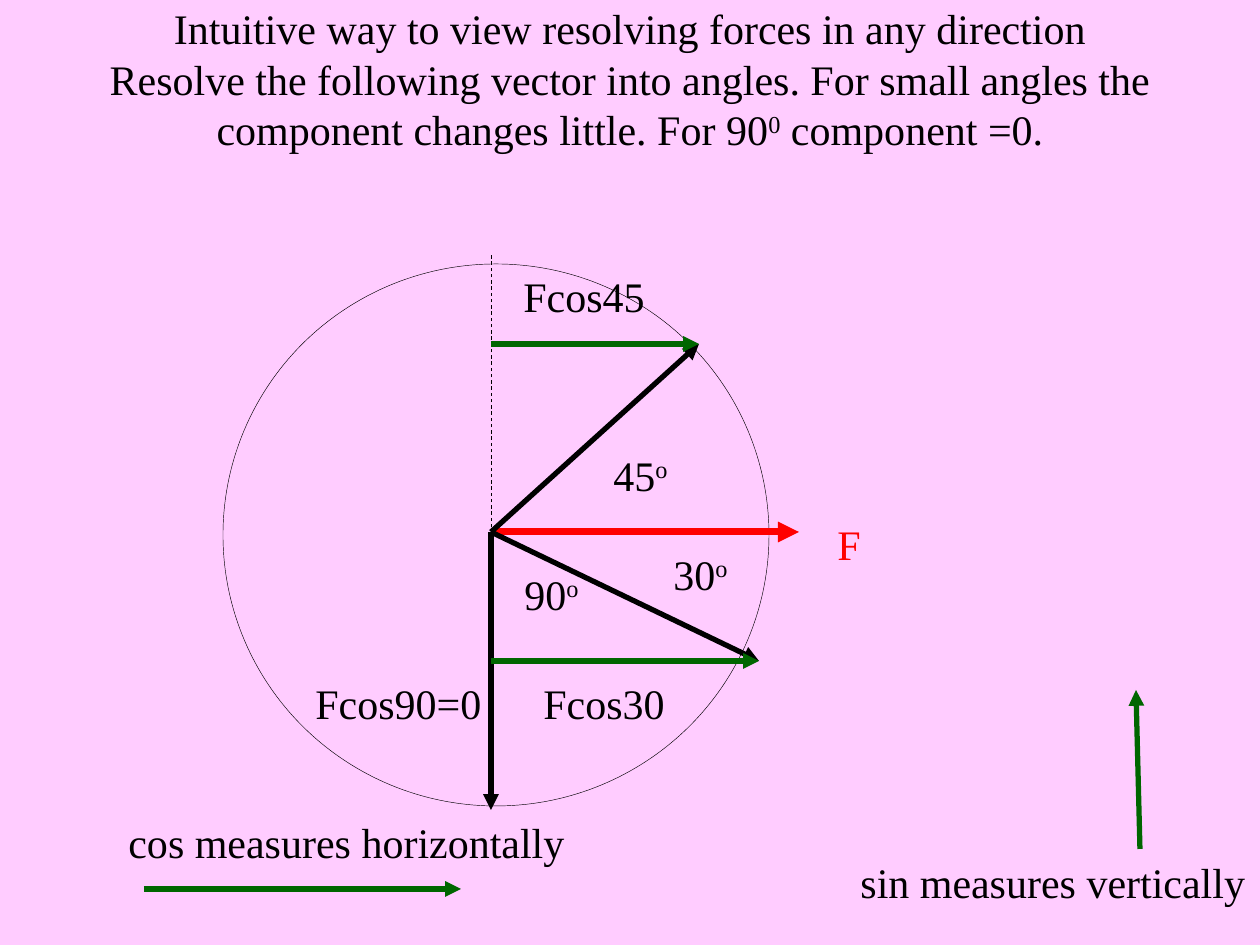
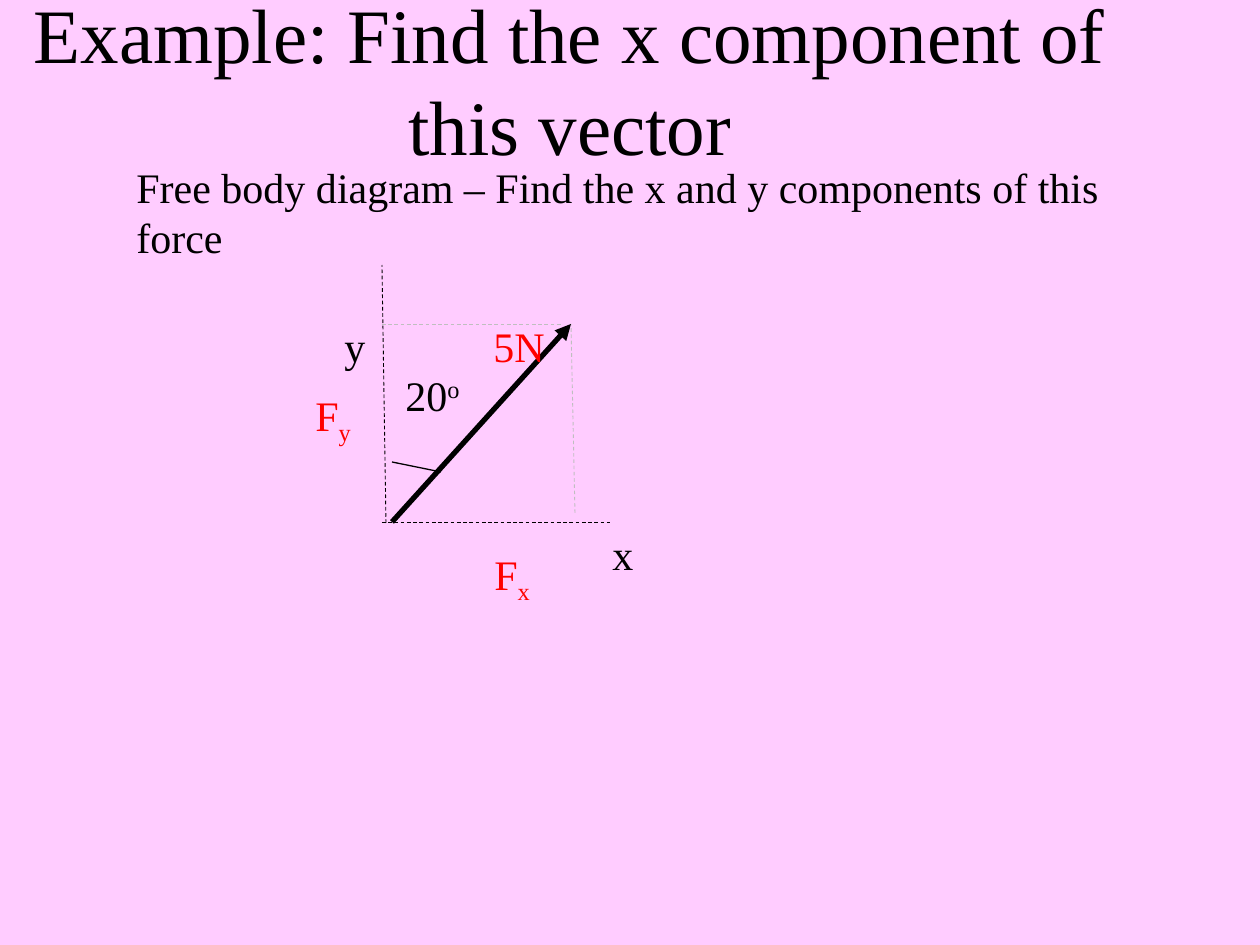
from dataclasses import dataclass

from lxml.etree import SubElement
from pptx import Presentation
from pptx.dml.color import RGBColor
from pptx.enum.dml import MSO_LINE
from pptx.enum.shapes import MSO_CONNECTOR, MSO_SHAPE
from pptx.enum.text import MSO_ANCHOR, MSO_AUTO_SIZE, PP_ALIGN
from pptx.oxml.ns import qn
from pptx.util import Emu, Pt


@dataclass(frozen=True)
class Theme:
    background: RGBColor = RGBColor(0xFF, 0xCC, 0xFF)
    ink: RGBColor = RGBColor(0, 0, 0)
    force: RGBColor = RGBColor(0xFF, 0, 0)
    component: RGBColor = RGBColor(0, 0x66, 0)
    guide: RGBColor = RGBColor(0xBF, 0xBF, 0xBF)
    font: str = "Times New Roman"
    body: int = 24
    headline: int = 44
    superscript: int = 30000
    subscript: int = -25000


theme = Theme()
PX = 914400 / 126
LABEL_HEIGHT = 63
TITLE_HEIGHT = 157


def add_text(slide, box, parts, color=theme.ink, size=theme.body, wrap=False, title=False):
    left, top, width, height = (Emu(round(v * PX)) for v in box)
    frame = slide.shapes.add_textbox(left, top, width, height).text_frame
    frame.word_wrap = wrap
    paragraph = frame.paragraphs[0]
    paragraph.text = parts[0]
    if title:
        frame.vertical_anchor = MSO_ANCHOR.MIDDLE
        paragraph.alignment = PP_ALIGN.CENTER
    else:
        frame.auto_size = MSO_AUTO_SIZE.SHAPE_TO_FIT_TEXT
    for part, baseline in parts[1:]:
        run = paragraph.add_run()
        run.text = part
        run._r.get_or_add_rPr().set("baseline", str(baseline))
    for run in paragraph.runs:
        run.font.name = theme.font
        run.font.size = Pt(size)
        run.font.color.rgb = color


def add_line(slide, start, end, color, weight, arrow=False, dashed=False):
    ends = (Emu(round(v * PX)) for v in (*start, *end))
    connector = slide.shapes.add_connector(MSO_CONNECTOR.STRAIGHT, *ends)
    connector.line.color.rgb = color
    connector.line.width = Pt(weight)
    if dashed:
        connector.line.dash_style = MSO_LINE.DASH
    if arrow:
        SubElement(connector.line._get_or_add_ln(), qn("a:tailEnd"), type="triangle")
    SubElement(connector._element.spPr, qn("a:effectLst"))


prs = Presentation()
prs.slide_width = Emu(round(1260 * PX))
prs.slide_height = Emu(round(945 * PX))
prs.slide_master.background.fill.solid()
prs.slide_master.background.fill.fore_color.rgb = theme.background
blank = prs.slide_layouts[6]
degree = ("o", theme.superscript)

resolving = prs.slides.add_slide(blank)
add_text(
    resolving,
    (0, 0, 1260, TITLE_HEIGHT),
    [
        "Intuitive way to view resolving forces in any direction\v"
        "Resolve the following vector into angles. For small angles the "
        "component changes little. For 90",
        ("0", theme.superscript),
        (" component =0.", 0),
    ],
    wrap=True,
    title=True,
)

circle = resolving.shapes.add_shape(
    MSO_SHAPE.OVAL, *(Emu(round(v * PX)) for v in (223, 264, 546, 542))
)
circle.shadow.inherit = False
circle.fill.background()
circle.line.color.rgb = theme.ink
circle.line.width = Pt(0.25)

center = (491, 532)
tip_45, tip_30, tip_90 = (699, 344), (759, 661), (491, 810)
add_line(resolving, (491, 790), (491, 255), theme.ink, 0.5, dashed=True)
add_line(resolving, center, (799, 532), theme.force, 4, arrow=True)
for tip in (tip_45, tip_30, tip_90):
    add_line(resolving, center, tip, theme.ink, 3, arrow=True)

component_arrows = [
    ((center[0], tip_45[1]), tip_45),
    ((center[0], tip_30[1]), tip_30),
    ((144, 889), (461, 889)),
    ((1140, 849), (1136, 690)),
]
for start, end in component_arrows:
    add_line(resolving, start, end, theme.component, 3, arrow=True)

add_text(resolving, (825, 512, 50, LABEL_HEIGHT), ["F"], theme.force)
resolving_labels = [
    (511, 264, 150, ["Fcos45"]),
    (531, 671, 150, ["Fcos30"]),
    (303, 671, 195, ["Fcos90=0"]),
    (601, 443, 82, ["45", degree]),
    (661, 542, 82, ["30", degree]),
    (512, 562, 82, ["90", degree]),
    (116, 810, 463, ["cos measures horizontally"]),
    (848, 850, 412, ["sin measures vertically"]),
]
for left, top, width, parts in resolving_labels:
    add_text(resolving, (left, top, width, LABEL_HEIGHT), parts)

example = prs.slides.add_slide(blank)
add_text(
    example,
    (0, 0, 1140, TITLE_HEIGHT),
    ["Example: Find the x component of this vector"],
    size=theme.headline,
    wrap=True,
    title=True,
)
add_text(
    example,
    (124, 155, 1012, 113),
    ["Free body diagram – Find the x and y components of this force"],
    wrap=True,
)

dashed_lines = [
    ((386, 523), (382, 265), theme.ink),
    ((382, 522), (610, 522), theme.ink),
    ((575, 513), (571, 324), theme.guide),
    ((382, 324), (561, 324), theme.guide),
]
for start, end, color in dashed_lines:
    add_line(example, start, end, color, 0.5, dashed=True)
add_line(example, (392, 522), (571, 324), theme.ink, 3, arrow=True)
add_line(example, (392, 462), (441, 472), theme.ink, 0.75)

example_labels = [
    (481, 314, 80, 63, ["5N"], theme.force),
    (600, 522, 48, 63, ["x"], theme.ink),
    (332, 314, 48, 63, ["y"], theme.ink),
    (393, 363, 82, 63, ["20", degree], theme.ink),
    (482, 542, 64, 71, ["F", ("x", theme.subscript)], theme.force),
    (303, 383, 64, 71, ["F", ("y", theme.subscript)], theme.force),
]
for left, top, width, height, parts, color in example_labels:
    add_text(example, (left, top, width, height), parts, color)

prs.save("out.pptx")
